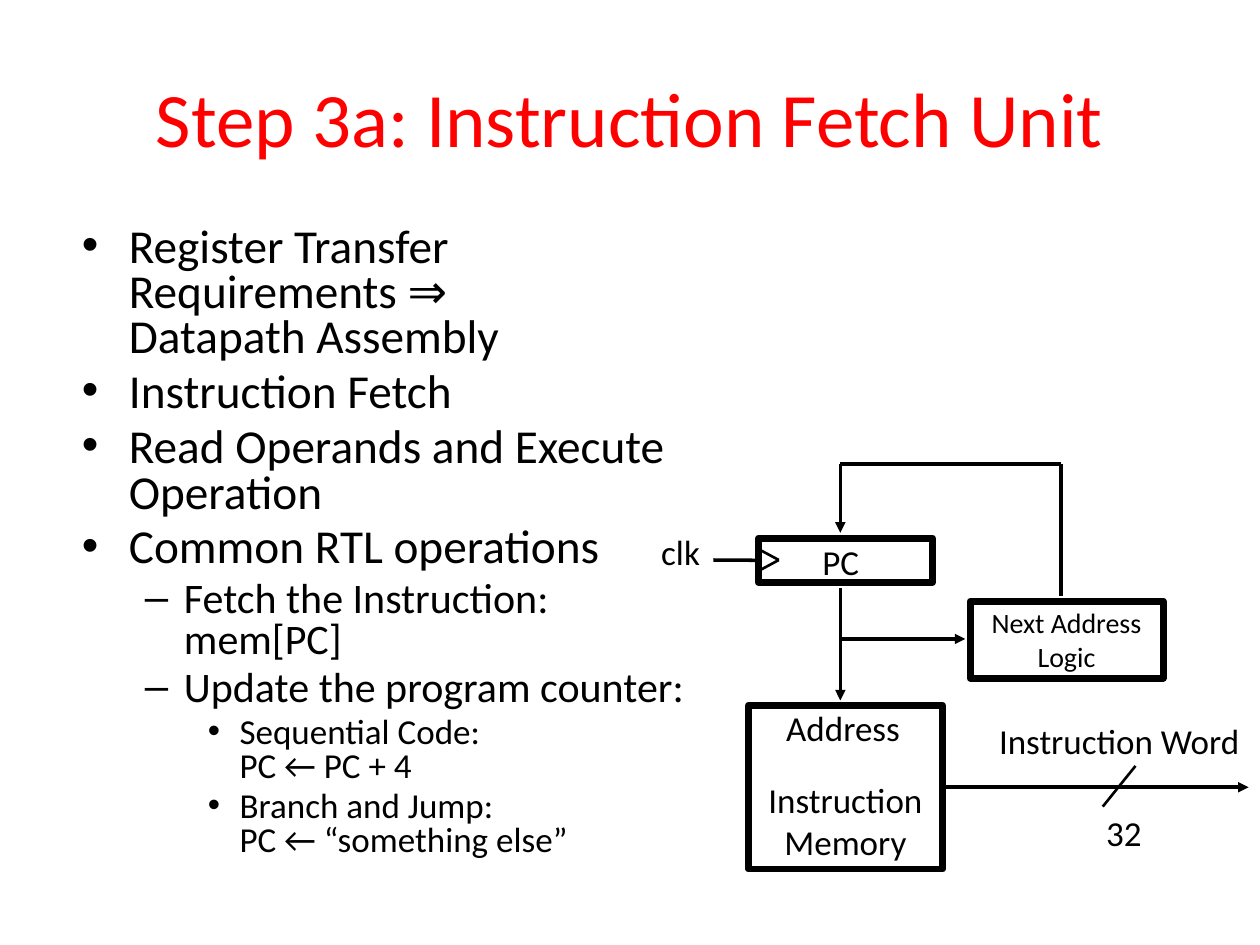
from lxml import etree
from pptx import Presentation
from pptx import util as u
from pptx.dml.color import RGBColor
from pptx.enum import shapes, text
from pptx.oxml.ns import qn


def colour(code):
    return RGBColor.from_string(code)


class Sketch:
    """Draw styled elements on the current slide."""

    font = "Calibri"
    ink = "000000"
    levels = [(27, "•", 0.95, 0.95), (24, "–", 2.06, 0.79), (20, "•", 3.18, 0.64)]

    def __init__(self, page):
        self.page = page

    def add_words(self, para, words, size, code=ink):
        for index, line in enumerate(words.split("\n")):
            if index:
                para.add_line_break()
            span = para.add_run()
            span.text = line
            span.font.name = self.font
            span.font.size = u.Pt(size)
            span.font.color.rgb = colour(code)

    def frame(self, area, wrap):
        box = self.page.shapes.add_textbox(*map(u.Cm, area))
        box.text_frame.word_wrap = wrap
        return box.text_frame

    def title(self, area, words):
        frame = self.frame(area, True)
        frame.vertical_anchor = text.MSO_ANCHOR.MIDDLE
        para = frame.paragraphs[0]
        para.alignment = text.PP_ALIGN.CENTER
        self.add_words(para, words, 44, "FF0000")

    def outline(self, area, items):
        frame = self.frame(area, True)
        for index, (level, words) in enumerate(items):
            para = frame.add_paragraph() if index else frame.paragraphs[0]
            size, mark, margin, hang = self.levels[level]
            para.level = level
            para.line_spacing = 0.8
            para.space_before = u.Pt(size * 0.2)
            props = para._p.get_or_add_pPr()
            props.set("marL", str(u.Cm(margin)))
            props.set("indent", str(-u.Cm(hang)))
            etree.SubElement(props, qn("a:buFont"), typeface="Arial")
            etree.SubElement(props, qn("a:buChar"), char=mark)
            self.add_words(para, words, size)

    def label(self, area, *lines, size=20):
        frame = self.frame(area, False)
        for index, words in enumerate(lines):
            para = frame.add_paragraph() if index else frame.paragraphs[0]
            if len(lines) > 1:
                para.alignment = text.PP_ALIGN.CENTER
            self.add_words(para, words, size)

    def block(self, area):
        box = self.page.shapes.add_shape(shapes.MSO_SHAPE.RECTANGLE, *map(u.Cm, area))
        box.shadow.inherit = False
        box.fill.background()
        box.line.color.rgb = colour(self.ink)
        box.line.width = u.Pt(4)
        return box

    def wire(self, start, end, width=2, arrow=False):
        line = self.page.shapes.add_connector(
            shapes.MSO_CONNECTOR.STRAIGHT, *map(u.Cm, start + end))
        line.line.color.rgb = colour(self.ink)
        line.line.width = u.Pt(width)
        if arrow:
            outline = line._element.spPr.find(qn("a:ln"))
            etree.SubElement(outline, qn("a:tailEnd"), type="triangle")
        etree.SubElement(line._element.spPr, qn("a:effectLst"))
        return line


def main():
    deck = Presentation()
    deck.slide_width, deck.slide_height = u.Cm(25.4), u.Cm(19.05)
    sketch = Sketch(deck.slides.add_slide(deck.slide_layouts[6]))

    sketch.title((1.27, 0.76, 22.86, 3.18), "Step 3a: Instruction Fetch Unit")
    sketch.outline((1.4, 4.45, 13.41, 13.54), [
        (0, "Register Transfer Requirements ⇒\nDatapath Assembly"),
        (0, "Instruction Fetch"),
        (0, "Read Operands and Execute Operation"),
        (0, "Common RTL operations"),
        (1, "Fetch the Instruction:\nmem[PC]"),
        (1, "Update the program counter:"),
        (2, "Sequential Code:\nPC ← PC + 4"),
        (2, "Branch and Jump:\nPC ← “something else”"),
    ])

    memory = sketch.block((15.09, 14.22, 3.91, 3.3))
    counter = sketch.block((15.29, 10.85, 3.51, 0.89))
    sketch.block((19.56, 12.12, 3.89, 1.55))

    sketch.label((15.6, 14.12, 2.92, 1.09), "Address")
    sketch.label((15.19, 15.57, 3.71, 1.96), "Instruction", "Memory")
    sketch.label((16.33, 10.77, 1.27, 1.12), "PC")
    sketch.label((13.08, 10.57, 1.32, 1.12), "clk")
    sketch.label((19.71, 12.09, 3.58, 1.63), "Next Address", "Logic", size=16)
    sketch.label((19.89, 14.38, 5.51, 1.12), "Instruction Word")
    sketch.label((22.05, 16.23, 1.22, 1.12), "32")

    trunk, feedback, top, clock = 16.94, 21.39, 9.35, 11.29
    sketch.wire((trunk, 11.86), (trunk, 14.12), arrow=True)
    sketch.wire((trunk, 12.88), (19.46, 12.88), arrow=True)
    sketch.wire((trunk, top), (trunk, 10.74), arrow=True)
    sketch.wire((trunk, top), (feedback, top))
    sketch.wire((feedback, top), (feedback, 12.01))
    sketch.wire((14.38, clock), (15.29, clock)).end_connect(counter, 1)
    sketch.wire((19, 15.87), (25.17, 15.87), arrow=True).begin_connect(memory, 3)
    sketch.wire((22.89, 15.44), (22.23, 16.26), 1.5)
    for offset in (-0.22, 0.22):
        sketch.wire((15.29, clock + offset), (15.7, clock), 1.5)

    deck.save("out.pptx")


if __name__ == "__main__":
    main()
